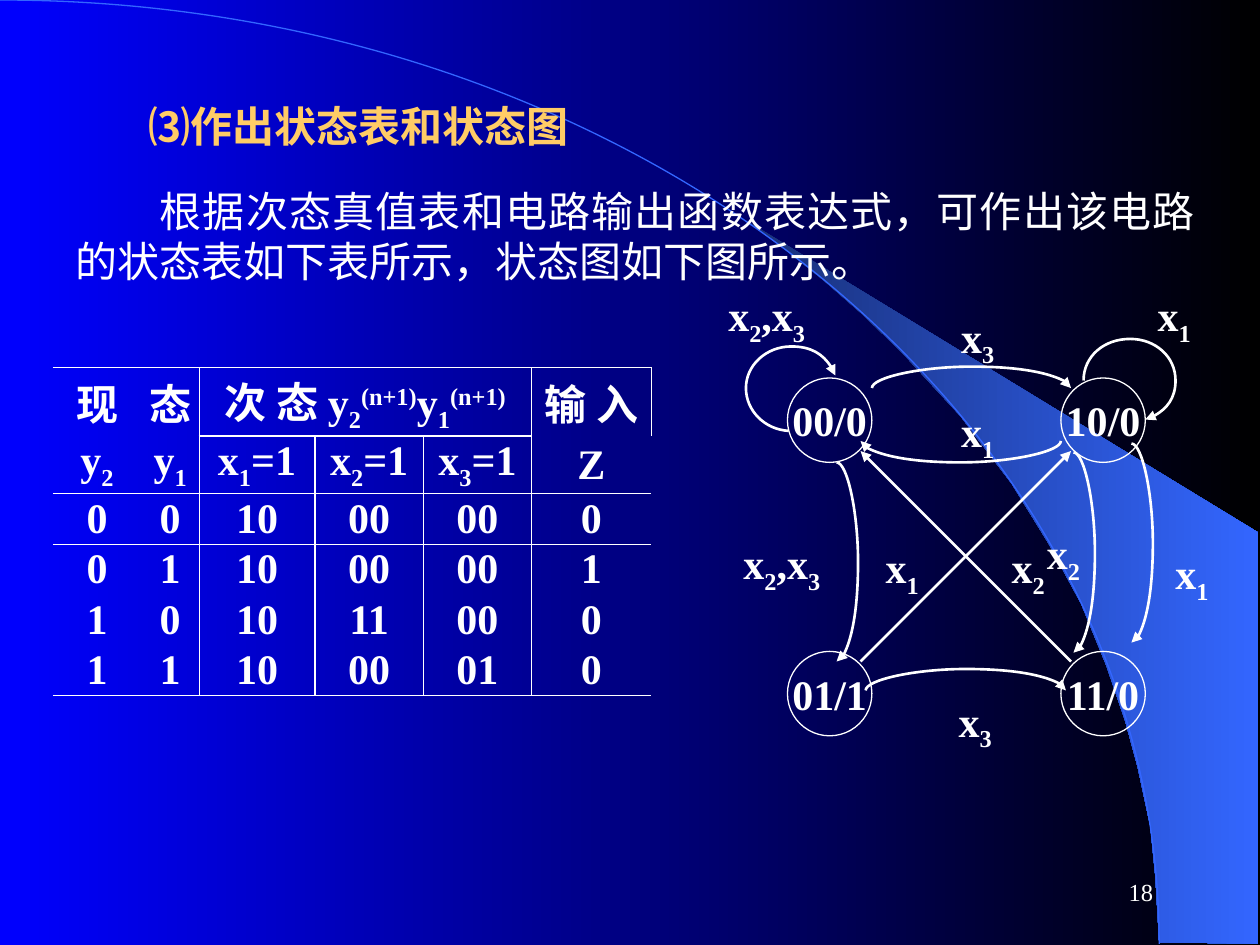
from itertools import accumulate, product
from lxml import etree
from pptx import Presentation
from pptx.dml.color import RGBColor
from pptx.enum.shapes import MSO_CONNECTOR, MSO_SHAPE
from pptx.enum.text import MSO_ANCHOR, PP_ALIGN
from pptx.oxml.ns import qn
from pptx.util import Inches, Pt

LEFT, CENTER, RIGHT, JUSTIFY = PP_ALIGN.LEFT, PP_ALIGN.CENTER, PP_ALIGN.RIGHT, PP_ALIGN.JUSTIFY
TOP, MIDDLE = MSO_ANCHOR.TOP, MSO_ANCHOR.MIDDLE
STRAIGHT, OVAL = MSO_CONNECTOR.STRAIGHT, MSO_SHAPE.OVAL

THEME = {
    "font": "Times New Roman", "body": 24, "small": 14, "thin": 0.75, "thick": 1.5,
    "text": "FFFFFF", "title": "FFCC66", "arc": "3366FF",
    "background": ("0000FF", "000000"), "band": ("182F76", "3366FF"),
    "plain_table": "{2D5ABB26-0587-4C30-8999-92F81FD0307C}",
}

# Content: in rich text "|" parts the pieces, "_" lowers one and "^" raises one
TITLE = "⑶作出状态表和状态图"
INTRO = "根据次态真值表和电路输出函数表达式，可作出该电路的状态表如下表所示，状态图如下图所示。"
PAGE_NUMBER = "18"
STATE_ROWS = [
    ["现", "态", "次 态 y|_2|^(n+1)|y|_1|^(n+1)", "", "", "输 入"],
    ["y|_2", "y|_1", "x|_1|=1", "x|_2|=1", "x|_3|=1", "Z"],
    ["0", "0", "10", "00", "00", "0"],
    ["0", "1", "10", "00", "00", "1"],
    ["1", "0", "10", "11", "00", "0"],
    ["1", "1", "10", "00", "01", "0"],
]
TABLE_AT = (0.42, 2.92)
COLUMN_WIDTHS = [0.7, 0.46, 0.92, 0.86, 0.86, 0.95]
ROW_HEIGHTS = [0.54, 0.46] + [0.4] * 4
NEXT_STATE = (2, 3, 4)

# State diagram
DIAMETER = 0.67
STATE_COLUMNS, STATE_TOPS = (6.25, 8.42), (3, 5.17)
STATES = ["00/0", "10/0", "01/1", "11/0"]
DIAGONALS = [((6.83, 5.25), (8.5, 3.58)), ((8.5, 5.25), (6.83, 3.58))]
BULGE = 0.17
ARCS = [  # start, end, direction of the bulge
    ((8.52, 3.59), (8.52, 5.18), (1, 0)),
    ((6.64, 3.67), (6.64, 5.25), (1, 0)),
    ((8.98, 3.52), (8.98, 5.1), (1, 0)),
    ((6.92, 3.08), (8.5, 3.08), (0, -1)),
    ((6.87, 5.48), (8.46, 5.48), (0, -1)),
    ((8.42, 3.5), (6.83, 3.5), (0, 1)),
]
SELF_LOOPS = [
    [(6.26, 3.42), (6.07, 3.41), (5.92, 3.26), (5.92, 3.08), (5.92, 2.9),
     (6.08, 2.75), (6.28, 2.75), (6.44, 2.75), (6.58, 2.84), (6.63, 2.98)],
    [(8.6, 3.02), (8.6, 2.83), (8.76, 2.69), (8.97, 2.69), (9.17, 2.69),
     (9.33, 2.83), (9.33, 3.02), (9.33, 3.16), (9.23, 3.29), (9.09, 3.33)],
]
INPUT_LABELS = [  # text, left, top, width
    ("x|_3", 7.53, 2.42, 0.46), ("x|_1", 7.53, 3.17, 0.46), ("x|_1", 9.09, 2.25, 0.46),
    ("x|_1", 9.23, 4.3, 0.46), ("x|_2", 8.21, 4.14, 0.46), ("x|_3", 7.51, 5.47, 0.46),
    ("x|_2|,x|_3", 5.8, 4.22, 0.81), ("x|_1", 6.93, 4.25, 0.46),
    ("x|_2", 7.93, 4.25, 0.46), ("x|_2|,x|_3", 5.68, 2.25, 0.81),
]

# Backdrop
HORIZON = [(0, 0), (5.08, 0), (9.2, 3.35), (9.2, 7.49)]
BAND = [(9.2, 7.48), (9.99, 7.49), (9.99, 4.23), (5.89, 1.73), (6.24, 1.99), (6.53, 2.22),
        (6.85, 2.5), (7.16, 2.8), (7.62, 3.3), (8.03, 3.84), (8.32, 4.31), (8.58, 4.79),
        (8.78, 5.28), (8.93, 5.72), (9.03, 6.09), (9.13, 6.56), (9.17, 6.96)]


def color(name):
    return RGBColor.from_string(THEME.get(name, name))


def paint_gradient(fill, hues):
    fill.gradient()
    fill.gradient_angle = 0
    for stop, hue in zip(fill.gradient_stops, hues):
        stop.color.rgb = color(hue)


def draw_line(shape, hue="text", weight="thin", arrow=False):
    shape.line.color.rgb = color(hue)
    shape.line.width = Pt(THEME[weight])
    if arrow:
        etree.SubElement(shape.line._get_or_add_ln(), qn("a:tailEnd"), type="triangle")


def write(frame, content, align=CENTER, size="body", hue="text", bold=True):
    para = frame.paragraphs[0]
    para.alignment = align
    para.font.name, para.font.size, para.font.bold = THEME["font"], Pt(THEME[size]), bold
    para.font.color.rgb = color(hue)
    for piece in content.split("|"):
        span = para.add_run()
        span.text = piece.lstrip("_^")
        if piece[:1] in ("_", "^"):
            span._r.get_or_add_rPr().set("baseline", "-25000" if piece[0] == "_" else "30000")
    return para


def add_text(page, area, content, wrap=True, anchor=TOP, **style):
    frame = page.shapes.add_textbox(*map(Inches, area)).text_frame
    frame.word_wrap, frame.vertical_anchor = wrap, anchor
    return write(frame, content, **style)


def add_outline(page, points, closed=False):
    points = [(Inches(x), Inches(y)) for x, y in points]
    builder = page.shapes.build_freeform(*points[0])
    builder.add_line_segments(points[1:], close=closed)
    shape = builder.convert_to_shape()
    shape.shadow.inherit = False
    return shape


def add_curve(page, points, **line):
    """Draw Bezier curves: a start, then two handles and an end for each."""
    shape = add_outline(page, points)
    shape.fill.background()
    draw_line(shape, **line)
    segments = shape._element.findall(".//" + qn("a:lnTo"))
    for first in range(0, len(segments), 3):
        curve = etree.Element(qn("a:cubicBezTo"))
        segments[first].addprevious(curve)
        for segment in segments[first:first + 3]:
            curve.append(segment[0])
            segment.getparent().remove(segment)


def arc_points(start, end, direction):
    def at(along, out):
        return tuple(s + (e - s) * along + d * BULGE * out
                     for s, e, d in zip(start, end, direction))
    return [at(*step) for step in
            [(0, 0), (0, 0.5), (0.25, 1), (0.5, 1), (0.75, 1), (1, 0.5), (1, 0)]]


def add_border(cell, side):
    props = cell._tc.get_or_add_tcPr()
    edge = etree.Element(qn("a:ln" + side), w=str(Pt(THEME["thin"])))
    fill = etree.SubElement(edge, qn("a:solidFill"))
    etree.SubElement(fill, qn("a:srgbClr"), val=THEME["text"])
    props.insert(len(props.findall(qn("a:lnL"))) + len(props.findall(qn("a:lnT"))), edge)


def add_state_table(page):
    size = (sum(COLUMN_WIDTHS), sum(ROW_HEIGHTS))
    table = page.shapes.add_table(len(ROW_HEIGHTS), len(COLUMN_WIDTHS),
                                  *map(Inches, TABLE_AT + size)).table
    table.first_row = table.horz_banding = False
    table._tbl.tblPr.find(qn("a:tableStyleId")).text = THEME["plain_table"]
    for column, width in zip(table.columns, COLUMN_WIDTHS):
        column.width = Inches(width)
    for row, height in zip(table.rows, ROW_HEIGHTS):
        row.height = Inches(height)
    table.cell(0, NEXT_STATE[0]).merge(table.cell(0, NEXT_STATE[-1]))
    for r, c in product(range(len(ROW_HEIGHTS)), range(len(COLUMN_WIDTHS))):
        cell = table.cell(r, c)
        cell.margin_left = cell.margin_right = cell.margin_top = cell.margin_bottom = 0
        cell.vertical_anchor = MIDDLE
        cell.fill.background()
        write(cell.text_frame, STATE_ROWS[r][c])
        if c in (2, 5) or (c in NEXT_STATE and r > 0):
            add_border(cell, "L")
        if r in (0, 2) or (r == 1 and c in NEXT_STATE):
            add_border(cell, "T")
        if r == len(ROW_HEIGHTS) - 1:
            add_border(cell, "B")


def add_state_diagram(page):
    for (top, left), name in zip(product(STATE_TOPS, STATE_COLUMNS), STATES):
        state = page.shapes.add_shape(OVAL, *map(Inches, (left, top, DIAMETER, DIAMETER)))
        state.shadow.inherit = False
        state.fill.background()
        draw_line(state)
        frame = state.text_frame
        frame.word_wrap, frame.vertical_anchor = False, MIDDLE
        frame.margin_left = frame.margin_right = frame.margin_top = frame.margin_bottom = 0
        write(frame, name)
    for start, end in DIAGONALS:
        link = page.shapes.add_connector(STRAIGHT, *map(Inches, start + end))
        draw_line(link, weight="thick", arrow=True)
        etree.SubElement(link._element.spPr, qn("a:effectLst"))
    for points in [arc_points(*arc) for arc in ARCS] + SELF_LOOPS:
        add_curve(page, points, weight="thick", arrow=True)
    for content, left, top, width in INPUT_LABELS:
        add_text(page, (left, top, width, 0.56), content, wrap=False)


def main():
    deck = Presentation()
    deck.slide_width, deck.slide_height = Inches(10), Inches(7.5)
    page = deck.slides.add_slide(deck.slide_layouts[6])
    # Backdrop
    paint_gradient(page.background.fill, THEME["background"])
    band = add_outline(page, BAND, closed=True)
    paint_gradient(band.fill, THEME["band"])
    band.line.fill.background()
    add_curve(page, HORIZON, hue="arc", weight="thin")
    # Text
    add_text(page, (7.17, 6.83, 2.08, 0.5), PAGE_NUMBER, anchor=MIDDLE,
             align=RIGHT, size="small", bold=False)
    add_text(page, (1.08, 0.75, 3.75, 0.5), TITLE, align=LEFT, hue="title")
    intro = add_text(page, (0.5, 1.42, 9.08, 0.9), INTRO, align=JUSTIFY, bold=False)
    intro._p.get_or_add_pPr().set("indent", str(Inches(0.67)))
    # Table and diagram
    add_state_table(page)
    add_state_diagram(page)
    deck.save("out.pptx")


if __name__ == "__main__":
    main()
